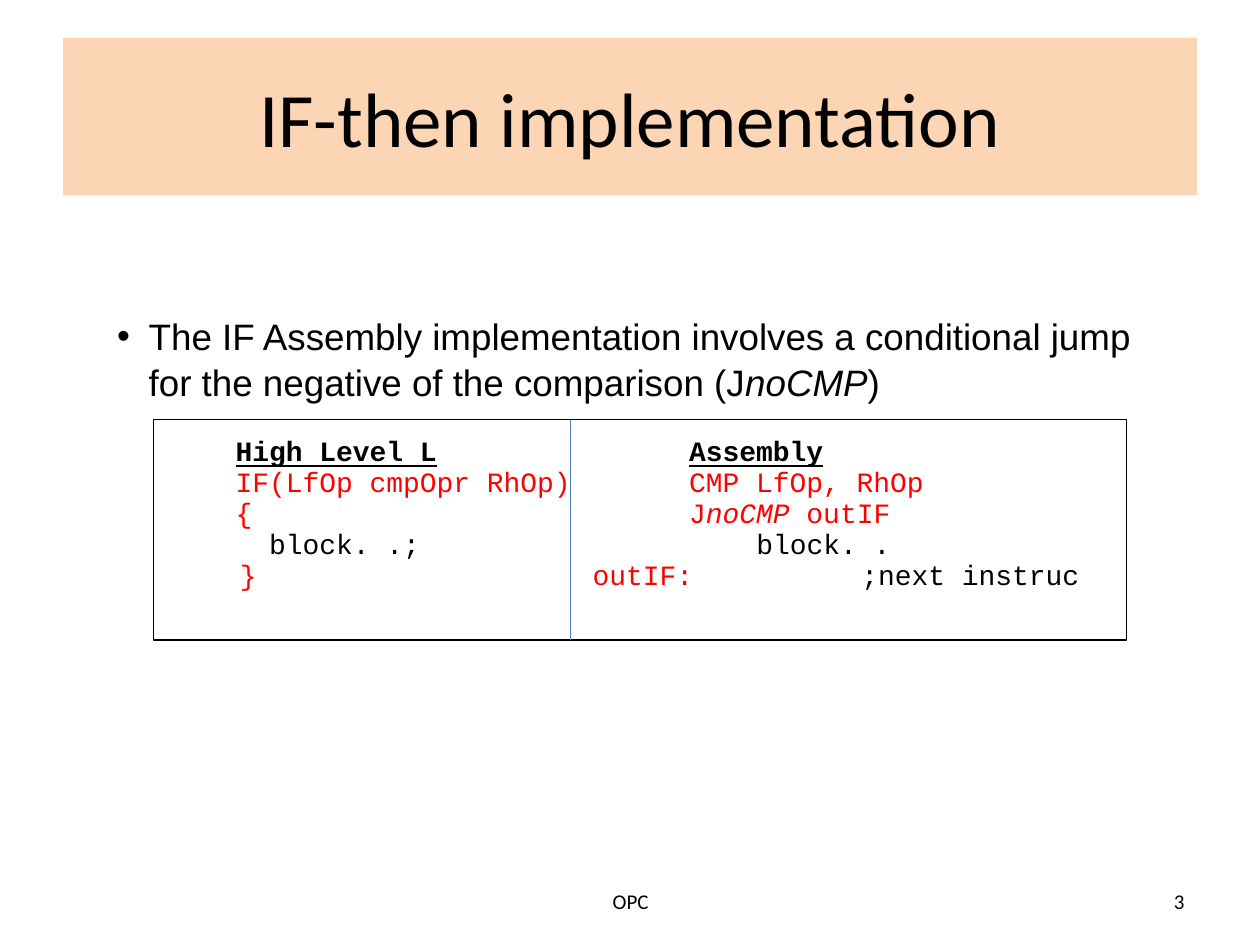
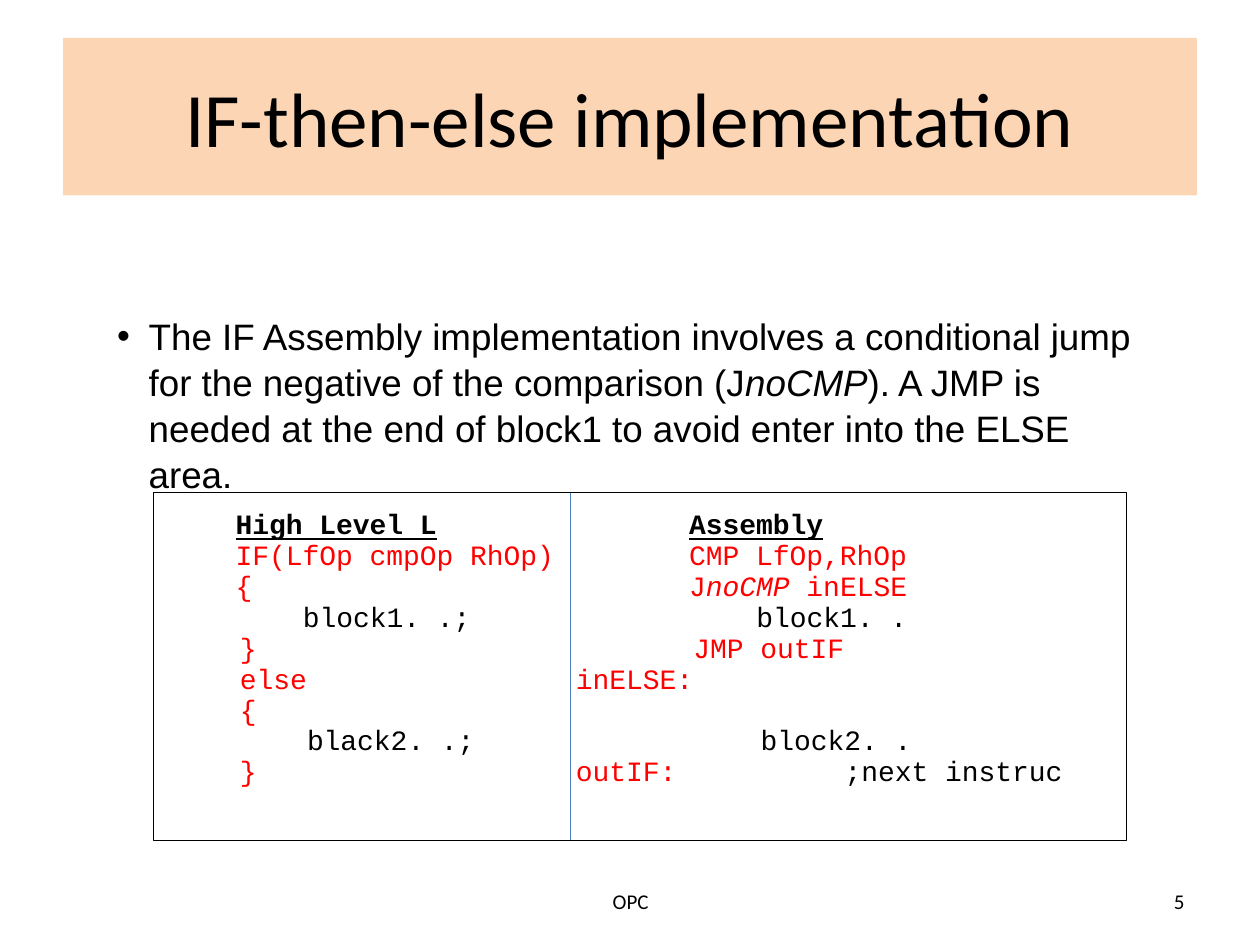
from lxml import etree
from pptx import Presentation
from pptx import util as u
from pptx.dml.color import RGBColor
from pptx.enum import shapes, text
from pptx.oxml import ns

BLACK = RGBColor(0, 0, 0)
RED = RGBColor(0xFF, 0, 0)
PEACH = RGBColor(0xFC, 0xD5, 0xB5)
BLUE = RGBColor(0x4B, 0x7E, 0xBC)

STYLES = {
    "head": dict(color=BLACK, bold=True, underline=True),
    "plain": dict(color=BLACK),
    "red": dict(color=RED),
    "red italic": dict(color=RED, italic=True),
}

FOOTER = "OPC"
INTRO = ("The IF Assembly implementation involves a conditional jump "
         "for the negative of the comparison (J")
HEADINGS = (0.5, [(0, [("High Level L", "head")]), (27, [("Assembly", "head")])])

# Each code line: left indent in inches, then (character column, runs) cells.
SLIDES = [
    dict(
        title="IF-then implementation", number="3", ending=")",
        top=3.33, height=1.75, intro_height=1.01,
        code=[
            HEADINGS,
            (0.5, [(0, [("IF(LfOp cmpOpr RhOp)", "red")]),
                   (27, [("CMP LfOp, RhOp", "red")])]),
            (0.5, [(0, [("{", "red")]),
                   (27, [("J", "red"), ("noCMP", "red italic"), (" outIF", "red")])]),
            (0.5, [(2, [("block. .;", "plain")]), (31, [("block. .", "plain")])]),
            (0, [(4, [("}", "red")]), (25, [("outIF:", "red")]),
                 (41, [(";next instruc", "plain")])]),
        ]),
    dict(
        title="IF-then-else implementation", number="5",
        ending="). A JMP is needed at the end of block1 to avoid enter into the ELSE area.",
        top=3.91, height=2.76, intro_height=1.72,
        code=[
            HEADINGS,
            (0.5, [(0, [("IF(LfOp cmpOp RhOp)", "red")]),
                   (27, [("CMP LfOp,RhOp", "red")])]),
            (0.5, [(0, [("{", "red")]),
                   (27, [("J", "red"), ("noCMP", "red italic"), (" inELSE", "red")])]),
            (0.5, [(4, [("block1. .;", "plain")]), (31, [("block1. .", "plain")])]),
            (0, [(4, [("}", "red")]), (31, [("JMP outIF", "red")])]),
            (0, [(4, [("else", "red")]), (24, [("inELSE:", "red")])]),
            (0, [(4, [("{", "red")])]),
            (0, [(8, [("black2. .;", "plain")]), (35, [("block2. .", "plain")])]),
            (0, [(4, [("}", "red")]), (24, [("outIF:", "red")]),
                 (40, [(";next instruc", "plain")])]),
        ]),
]

BOX_LEFT, BOX_WIDTH, DIVIDER_X = 1.22, 7.72, 4.53
CODE_SIZE, CODE_PITCH = 16, 17.7
CHARACTER = CODE_SIZE * 0.6 / 72


def place(shape, left, top, width, height):
    shape.left, shape.top = u.Inches(left), u.Inches(top)
    shape.width, shape.height = u.Inches(width), u.Inches(height)


def set_insets(frame, side, end):
    frame.margin_left = frame.margin_right = u.Inches(side)
    frame.margin_top = frame.margin_bottom = u.Inches(end)


def add_span(para, words, size, font, color=BLACK, bold=False, italic=False, underline=False):
    span = para.add_run()
    span.text = words
    span.font.size, span.font.name = u.Pt(size), font
    span.font.color.rgb = color
    span.font.bold, span.font.italic, span.font.underline = bold, italic, underline


def add_title(page, words):
    title = page.shapes.title
    place(title, 0.5, 0.3, 9, 1.25)
    title.fill.solid()
    title.fill.fore_color.rgb = PEACH
    frame = title.text_frame
    frame.vertical_anchor = text.MSO_ANCHOR.MIDDLE
    frame.paragraphs[0].alignment = text.PP_ALIGN.CENTER
    add_span(frame.paragraphs[0], words, 44, "Calibri")


def add_footer(page, words, left, width, alignment):
    box = page.shapes.add_textbox(u.Inches(left), u.Inches(6.95), u.Inches(width), u.Inches(0.4))
    frame = box.text_frame
    frame.word_wrap = True
    frame.vertical_anchor = text.MSO_ANCHOR.MIDDLE
    frame.paragraphs[0].alignment = alignment
    add_span(frame.paragraphs[0], words, 12, "Calibri")


def add_intro(page, ending, height):
    body = page.placeholders[1]
    place(body, 0.83, 2.33, 8.42, height)
    frame = body.text_frame
    frame.auto_size = text.MSO_AUTO_SIZE.NONE
    set_insets(frame, 0.1, 0.15)
    para = frame.paragraphs[0]
    para.space_before = u.Pt(0)
    para.line_spacing = 1.04
    properties = para._p.get_or_add_pPr()
    properties.set("marL", str(u.Inches(0.25)))
    properties.set("indent", str(-u.Inches(0.25)))
    for words, italic in ((INTRO, False), ("noCMP", True), (ending, False)):
        add_span(para, words, 21, "Arial", italic=italic)


def add_tab_stops(para, positions):
    stops = etree.SubElement(para._p.get_or_add_pPr(), ns.qn("a:tabLst"))
    for position in positions:
        etree.SubElement(stops, ns.qn("a:tab"), pos=str(u.Inches(position)), algn="l")


def add_code_box(page, lines, top, height):
    box = page.shapes.add_shape(shapes.MSO_SHAPE.RECTANGLE, 0, 0, 0, 0)
    place(box, BOX_LEFT, top, BOX_WIDTH, height)
    box.shadow.inherit = False
    box.fill.background()
    box.line.color.rgb, box.line.width = BLACK, u.Pt(0.75)
    frame = box.text_frame
    frame.word_wrap = True
    frame.vertical_anchor = text.MSO_ANCHOR.TOP
    set_insets(frame, 0.15, 0.13)
    for index, (indent, cells) in enumerate(lines):
        para = frame.add_paragraph() if index else frame.paragraphs[0]
        para.alignment = text.PP_ALIGN.LEFT
        para.line_spacing = u.Pt(CODE_PITCH)
        add_tab_stops(para, [indent + column * CHARACTER for column, _ in cells])
        for _, spans in cells:
            add_span(para, "\t", CODE_SIZE, "Courier New")
            for words, style in spans:
                add_span(para, words, CODE_SIZE, "Courier New", **STYLES[style])


def add_divider(page, top, height):
    x = u.Inches(DIVIDER_X)
    line = page.shapes.add_connector(shapes.MSO_CONNECTOR.STRAIGHT,
                                     x, u.Inches(top), x, u.Inches(top + height))
    line.line.color.rgb, line.line.width = BLUE, u.Pt(0.75)
    etree.SubElement(line._element.spPr, ns.qn("a:effectLst"))


deck = Presentation()
deck.slide_width, deck.slide_height = u.Inches(10), u.Inches(7.5)
for content in SLIDES:
    page = deck.slides.add_slide(deck.slide_layouts[1])
    add_title(page, content["title"])
    add_footer(page, FOOTER, 3.42, 3.17, text.PP_ALIGN.CENTER)
    add_footer(page, content["number"], 7.17, 2.33, text.PP_ALIGN.RIGHT)
    add_code_box(page, content["code"], content["top"], content["height"])
    add_intro(page, content["ending"], content["intro_height"])
    add_divider(page, content["top"], content["height"])
deck.save("out.pptx")
